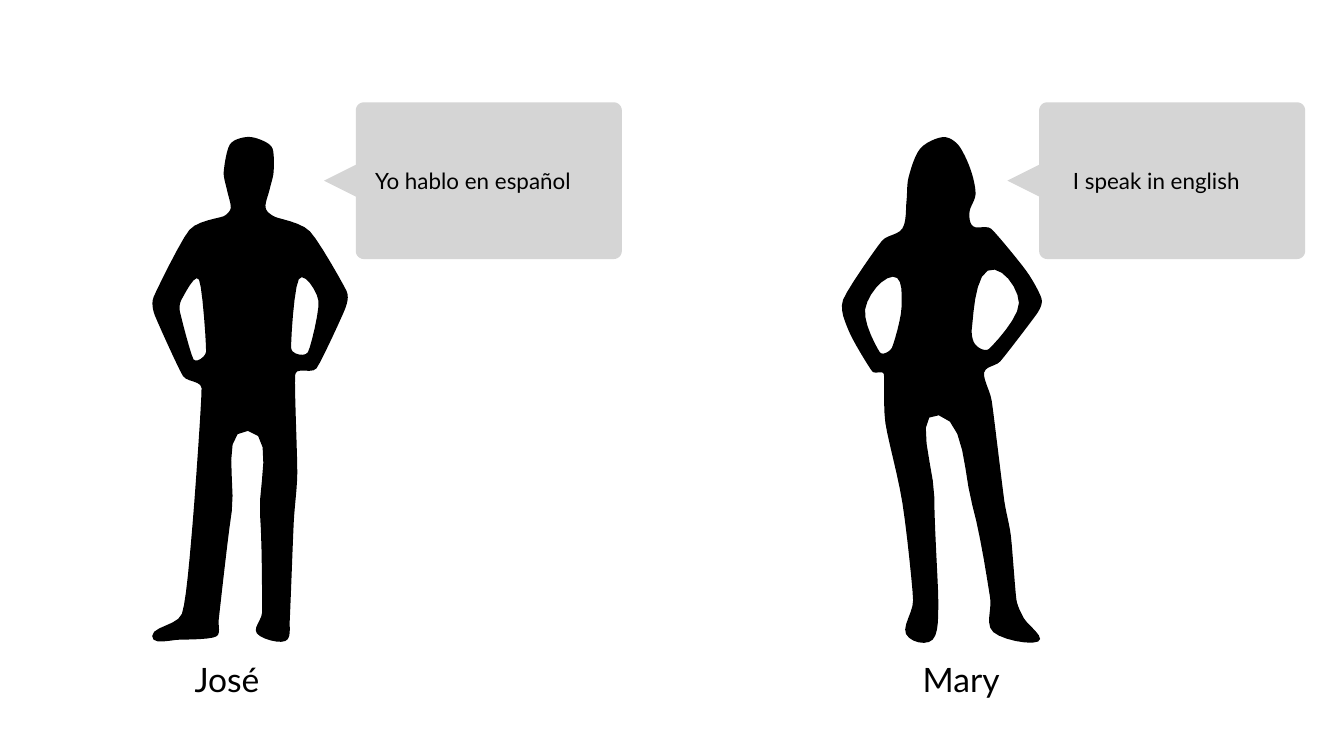
import math
from dataclasses import dataclass

import pptx
import pptx.dml.color
import pptx.enum.text
import pptx.util

Inches = pptx.util.Inches
Pt = pptx.util.Pt
Color = pptx.dml.color.RGBColor


@dataclass(frozen=True)
class Theme:
    font: str = "Lato"
    ink: Color = Color(0x00, 0x00, 0x00)
    bubble: Color = Color(0xD5, 0xD5, 0xD5)
    name_size: int = 48
    speech_size: int = 32
    inset: float = 0.06


THEME = Theme()

# Each figure: body outline, then the gaps between arms and waist (inches)
MAN = [
    [(4.88, 2.72), (4.56, 2.87), (4.44, 3.41), (4.5, 3.75), (4.58, 4.12),
     (4.44, 4.29), (3.76, 4.56), (3.05, 5.89), (3.07, 6.25), (3.63, 7.46),
     (4, 7.7), (3.82, 10.42), (3.61, 12.18), (3.02, 12.62), (3.6, 12.69),
     (4.29, 12.63), (4.34, 12.3), (4.6, 10.14), (4.92, 8.55), (5.16, 10.19),
     (5.2, 12.16), (5.1, 12.57), (5.66, 12.72), (5.75, 12.31), (5.83, 10.35),
     (5.9, 9.38), (5.86, 7.42), (6.28, 7.31), (6.84, 6.15), (6.88, 5.78),
     (6.15, 4.59), (5.45, 4.3), (5.27, 4.12), (5.35, 3.76), (5.43, 3.41),
     (5.41, 2.95), (5.19, 2.78)],
    [(5.93, 5.54), (6.32, 5.97), (6.11, 6.99), (5.78, 6.92)],
    [(3.95, 5.55), (4.09, 6.98), (3.84, 7.13), (3.57, 6.18), (3.61, 5.93)],
]
WOMAN = [
    [(18.71, 2.72), (18.26, 2.95), (18.03, 3.52), (17.99, 3.98), (17.91, 4.53),
     (17.5, 4.78), (16.73, 5.95), (16.85, 6.58), (17.31, 7.37), (17.54, 7.42),
     (17.57, 8.39), (17.91, 9.99), (18.12, 11.91), (17.98, 12.58), (18.51, 12.69),
     (18.62, 11.92), (18.54, 9.85), (18.63, 8.24), (19.29, 10), (19.65, 11.87),
     (19.71, 12.54), (20.6, 12.73), (20.32, 12.27), (20.17, 11.9), (20.06, 10.63),
     (19.93, 9.94), (19.68, 7.95), (19.53, 7.39), (19.85, 7.17), (20.58, 6.22),
     (20.67, 5.93), (20.37, 5.38), (19.67, 4.54), (19.31, 4.49), (19.24, 4.2),
     (19.36, 3.85), (19.26, 3.36), (19.02, 2.88)],
    [(19.6, 5.37), (20.22, 6.01), (19.63, 6.92), (19.35, 6.83), (19.29, 6.48)],
    [(17.72, 5.49), (17.89, 6.1), (17.7, 6.9), (17.46, 6.99), (17.17, 6.13)],
]


def smooth(points, steps=6):
    """Closed curve through the points, with tangents limited to the shorter side."""
    count = len(points)
    tangents = []
    for index, here in enumerate(points):
        before, after = points[index - 1], points[(index + 1) % count]
        chord = math.dist(before, after)
        reach = min(math.dist(before, here), math.dist(here, after)) / chord
        tangents.append([(b - a) * reach for a, b in zip(before, after)])
    curve = []
    for index, start in enumerate(points):
        following = (index + 1) % count
        for step in range(steps):
            t = step / steps
            curve.append(tuple(
                a + (b - a) * t * t * (3 - 2 * t)
                + m * t * (1 - t) ** 2 - n * t * t * (1 - t)
                for a, b, m, n in zip(start, points[following],
                                      tangents[index], tangents[following])))
    return curve


def add_outline(page, contours, color):
    """Draw closed contours as one filled shape; inner contours become holes."""
    scaled = [[(Inches(x), Inches(y)) for x, y in contour] for contour in contours]
    builder = page.shapes.build_freeform(*scaled[0][0])
    for index, points in enumerate(scaled):
        if index:
            builder.move_to(*points[0])
        builder.add_line_segments(points[1:], close=True)
    shape = builder.convert_to_shape()
    shape.shadow.inherit = False
    shape.fill.solid()
    shape.fill.fore_color.rgb = color
    shape.line.fill.background()
    return shape


def write_text(shape, text, size, align, wrap):
    frame = shape.text_frame
    frame.word_wrap = wrap
    frame.vertical_anchor = pptx.enum.text.MSO_ANCHOR.MIDDLE
    for side in ("left", "top", "right", "bottom"):
        setattr(frame, f"margin_{side}", Inches(THEME.inset))
    para = frame.paragraphs[0]
    para.alignment = align
    span = para.add_run()
    span.text = text
    span.font.name = THEME.font
    span.font.size = Pt(size)
    span.font.color.rgb = THEME.ink
    return para


def bubble_points(left, top, width=5.91, height=3.11, tail=0.63, radius=0.16):
    """Rounded rectangle with a pointed tail in the middle of its left side."""
    x1, x2, y1, y2 = left + tail, left + width, top, top + height
    middle = top + height / 2
    corners = [(x1 + radius, y1 + radius, 180), (x2 - radius, y1 + radius, 270),
               (x2 - radius, y2 - radius, 0), (x1 + radius, y2 - radius, 90)]
    points = [(x1, middle + tail / 2), (left, middle), (x1, middle - tail / 2)]
    for x, y, start in corners:
        for step in range(0, 91, 15):
            angle = math.radians(start + step)
            points.append((x + radius * math.cos(angle), y + radius * math.sin(angle)))
    return points


def add_bubble(page, left, text):
    bubble = add_outline(page, [bubble_points(left, 2.03)], THEME.bubble)
    write_text(bubble, text, THEME.speech_size, pptx.enum.text.PP_ALIGN.CENTER, True)


def add_name(page, left, width, text):
    box = page.shapes.add_textbox(Inches(left), Inches(12.98), Inches(width), Inches(0.99))
    para = write_text(box, text, THEME.name_size, pptx.enum.text.PP_ALIGN.LEFT, False)
    para.space_before = Pt(24)
    box.text_frame.auto_size = pptx.enum.text.MSO_AUTO_SIZE.SHAPE_TO_FIT_TEXT


def main():
    deck = pptx.Presentation()
    deck.slide_width, deck.slide_height = Inches(26.67), Inches(15)
    page = deck.slides.add_slide(deck.slide_layouts[6])

    # Speakers
    for figure in (MAN, WOMAN):
        add_outline(page, [smooth(contour) for contour in figure], THEME.ink)

    # What they say
    add_bubble(page, 6.43, "Yo hablo en español")
    add_bubble(page, 19.99, "I speak in english")

    # Who they are
    add_name(page, 3.8, 1.51, "José")
    add_name(page, 18.25, 1.66, "Mary")

    deck.save("out.pptx")


if __name__ == "__main__":
    main()
